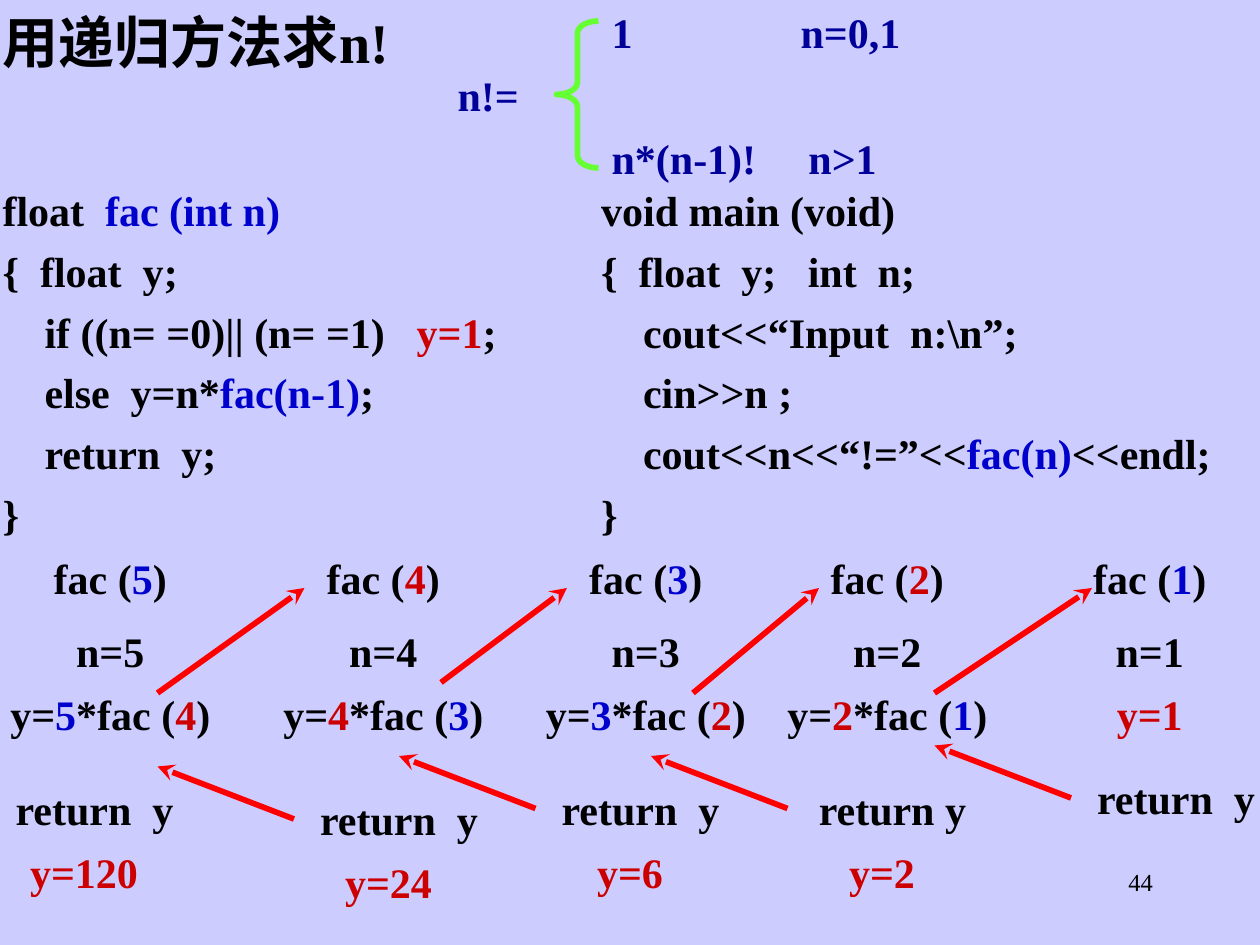
from dataclasses import dataclass
from typing import NamedTuple, Optional

from lxml.etree import SubElement
from pptx import Presentation
from pptx.dml.color import RGBColor
from pptx.enum.shapes import MSO_CONNECTOR, MSO_SHAPE
from pptx.enum.text import MSO_AUTO_SIZE, PP_ALIGN
from pptx.oxml.ns import qn
from pptx.util import Pt

FONT = "Times New Roman"
BLACK, NAVY, BLUE, RED = "000000", "000099", "0000CC", "CC0000"
ROW = 33  # height of a one-line box


class Run(NamedTuple):
    text: str
    hue: str = BLACK


class Spot(NamedTuple):
    x: float
    y: float


@dataclass
class Box:
    left: float
    top: float
    wide: float
    high: float = ROW


@dataclass
class Call:
    n: int
    left: float
    back: Spot  # corner of the return label
    value: str
    tail: Optional[Spot] = None  # arrow to the next call
    head: Optional[Spot] = None


def color(hue: str) -> RGBColor:
    return RGBColor.from_string(hue)


def add_text(slide, box: Box, lines: list[list[Run]], align=PP_ALIGN.LEFT,
             size: float = 24, bold: bool = True, tab: float = 0,
             pad: tuple = (1.5, 0.75), gap: float = 1.1) -> None:
    shape = slide.shapes.add_textbox(
        Pt(box.left), Pt(box.top), Pt(box.wide), Pt(box.high))
    frame = shape.text_frame
    frame.word_wrap = True
    frame.auto_size = MSO_AUTO_SIZE.SHAPE_TO_FIT_TEXT if bold else MSO_AUTO_SIZE.NONE
    frame.margin_left = frame.margin_right = Pt(pad[0])
    frame.margin_top = frame.margin_bottom = Pt(pad[1])
    for i, line in enumerate(lines):
        para = frame.add_paragraph() if i else frame.paragraphs[0]
        para.alignment = align
        para.line_spacing = gap
        if i:
            para.space_before = Pt(3)
        if tab:
            stops = SubElement(para._p.get_or_add_pPr(), qn("a:tabLst"))
            SubElement(stops, qn("a:tab"), pos=str(Pt(tab)), algn="l")
        for part in line:
            run = para.add_run()
            run.text = part.text
            font = run.font
            font.name, font.size, font.bold = FONT, Pt(size), bold
            font.color.rgb = color(part.hue)


def add_label(slide, left: float, top: float, wide: float, *runs: Run) -> None:
    add_text(slide, Box(left, top, wide), [list(runs)], PP_ALIGN.CENTER)


def add_arrow(slide, tail: Spot, head: Spot) -> None:
    arrow = slide.shapes.add_connector(
        MSO_CONNECTOR.STRAIGHT, Pt(tail.x), Pt(tail.y), Pt(head.x), Pt(head.y))
    arrow.line.color.rgb = color("FF0000")
    arrow.line.width = Pt(3.25)
    SubElement(arrow.line._get_or_add_ln(), qn("a:tailEnd"), type="stealth")
    SubElement(arrow._element.spPr, qn("a:effectLst"))


def digit(n: int) -> Run:
    """Odd arguments are blue, even ones red."""
    return Run(str(n), BLUE if n % 2 else RED)


def add_call(slide, call: Call) -> None:
    n, left, wide = call.n, call.left, 126
    add_label(slide, left, 312, wide, Run("fac ("), digit(n), Run(")"))
    add_label(slide, left, 354, wide, Run(f"n={n}"))
    if call.tail:
        work = [Run("y="), digit(n), Run("*fac ("), digit(n - 1), Run(")")]
        add_arrow(slide, call.tail, call.head)
    else:
        work = [Run(call.value, RED)]
    add_label(slide, left, 390, wide, *work)

    # Way back: label, result and arrow to the caller
    x, y = call.back
    add_label(slide, x, y, 96, Run("return y" if n == 2 else "return  y"))
    if call.tail:
        add_label(slide, x - 6, y + 36, 96, Run(call.value, RED))
    if n < 5:
        add_arrow(slide, Spot(x - 12, y + 18), Spot(x - 90, y - 12))


FAC = [
    [Run("float  "), Run("fac (int n)", BLUE)],
    [Run("{  float  y;")],
    [Run("    if ((n= =0)|| (n= =1)   "), Run("y=1", RED), Run(";")],
    [Run("    else  y=n*"), Run("fac(n-1)", BLUE), Run(";")],
    [Run("    return  y;")],
    [Run("}")],
]
MAIN = [
    [Run("void main (void)")],
    [Run("{  float  y;   int  n;")],
    [Run("    cout<<“Input  n:\\n”;")],
    [Run("    cin>>n ;")],
    [Run("    cout<<n<<“!=”<<"), Run("fac(n)", BLUE), Run("<<endl;")],
    [Run("}")],
]
CALLS = [
    Call(5, 0, Spot(6, 444), "y=120", Spot(90, 396), Spot(174, 336)),
    Call(4, 156, Spot(180, 450), "y=24", Spot(252, 390), Spot(324, 336)),
    Call(3, 306, Spot(318, 444), "y=6", Spot(396, 396), Spot(468, 336)),
    Call(2, 444, Spot(462, 444), "y=2", Spot(534, 396), Spot(624, 336)),
    Call(1, 594, Spot(624, 438), "y=1"),
]


def main() -> None:
    deck = Presentation()
    deck.slide_width, deck.slide_height = Pt(720), Pt(540)
    slide = deck.slides.add_slide(deck.slide_layouts[6])
    slide.background.fill.solid()
    slide.background.fill.fore_color.rgb = color("CCCCFF")

    # Page number and title
    add_text(slide, Box(516, 492, 150, 36), [[Run("44")]], PP_ALIGN.RIGHT,
             size=14, bold=False, pad=(7.2, 3.6), gap=1.0)
    add_text(slide, Box(0, 0, 720, 44), [[Run("用递归方法求n!")]], size=32)

    # Definition by cases
    add_label(slide, 234, 36, 90, Run("n!=", NAVY))
    for top, case, tab in ((0, "1\tn=0,1", 108), (72, "n*(n-1)!\tn>1", 112.5)):
        add_text(slide, Box(348, top, 180), [[Run(case, NAVY)]], tab=tab)
    brace = slide.shapes.add_shape(
        MSO_SHAPE.LEFT_BRACE, Pt(318), Pt(12), Pt(24), Pt(84))
    brace.adjustments[0] = 0.29
    brace.shadow.inherit = False
    brace.fill.background()
    brace.line.color.rgb = color("66FF33")
    brace.line.width = Pt(3.25)

    # Code
    add_text(slide, Box(0, 102, 294, 207), FAC)
    add_text(slide, Box(342, 102, 378, 207), MAIN)

    # Chain of calls
    for call in CALLS:
        add_call(slide, call)

    deck.save("out.pptx")


if __name__ == "__main__":
    main()
